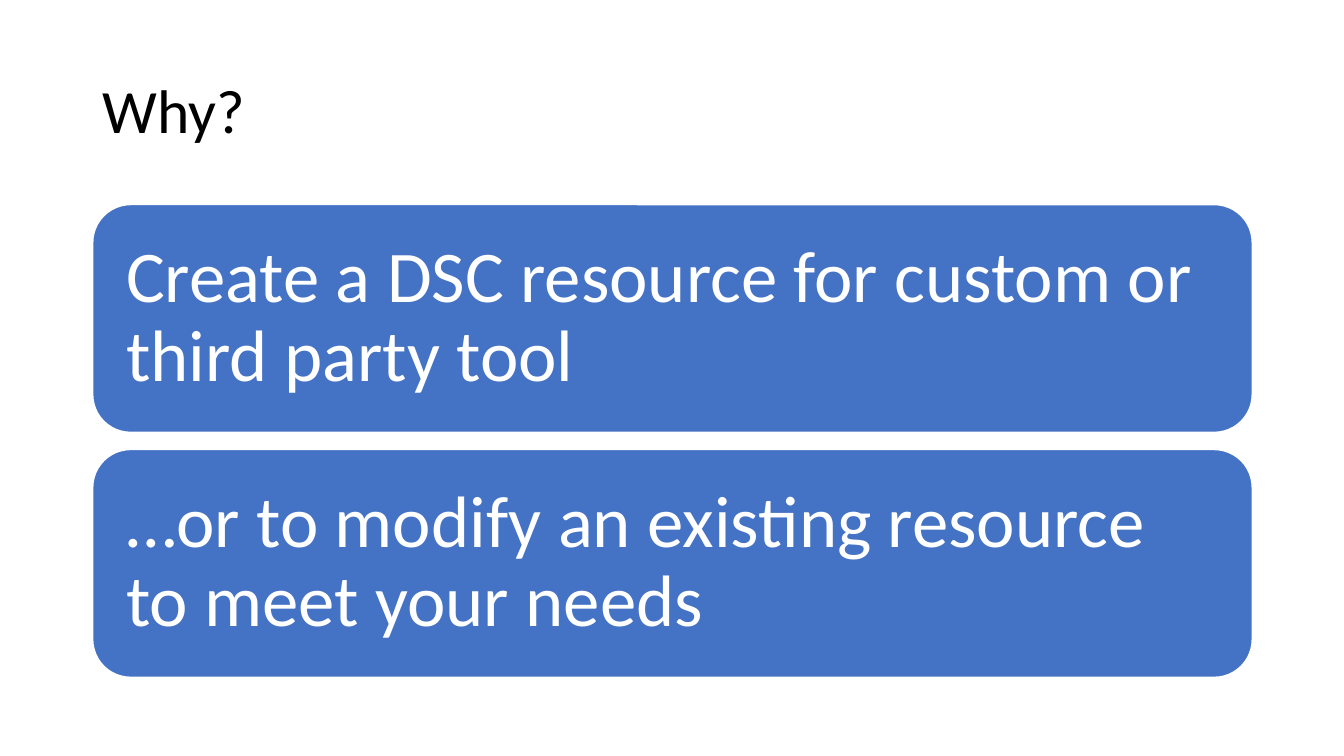
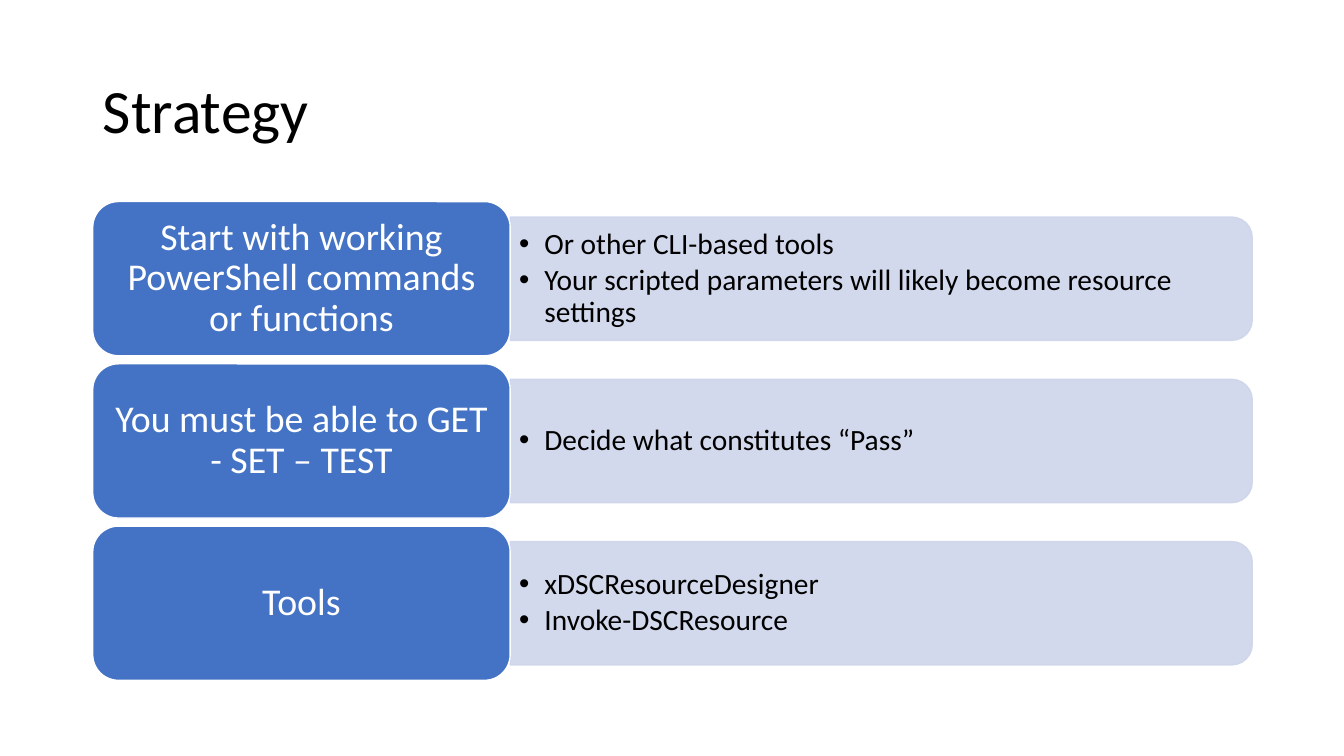
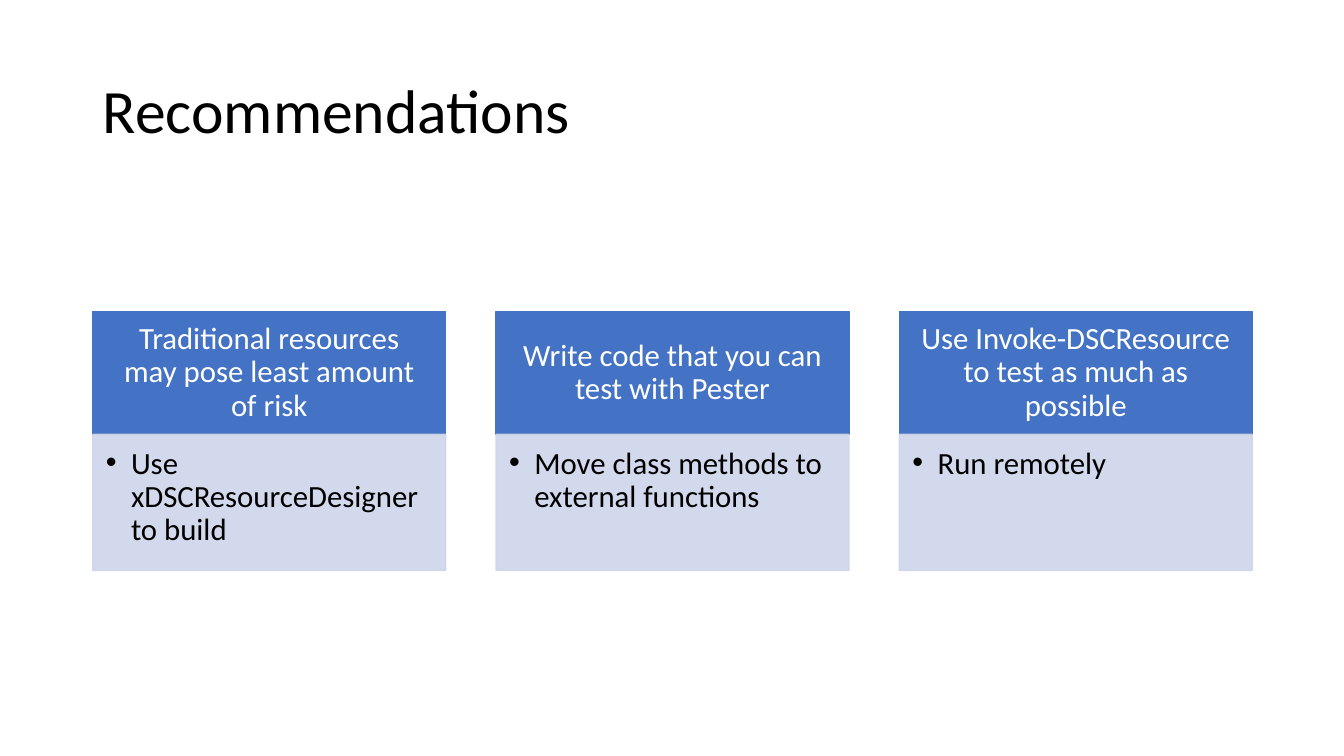
"""Build three slides about planning custom DSC resources."""
from lxml.etree import SubElement
from pptx import Presentation
from pptx.dml.color import RGBColor
from pptx.enum.shapes import MSO_SHAPE
from pptx.enum.text import MSO_ANCHOR, MSO_AUTO_SIZE, PP_ALIGN
from pptx.oxml.ns import qn
from pptx.util import Inches, Pt

REASONS = [
    "Create a DSC resource for custom or third party tool",
    "…or to modify an existing resource to meet your needs",
]
STRATEGY = [
    ("Start with working PowerShell commands or functions",
     ["Or other CLI-based tools",
      "Your scripted parameters will likely become resource settings"]),
    ("You must be able to GET - SET – TEST",
     ["Decide what constitutes “Pass”"]),
    ("Tools", ["xDSCResourceDesigner", "Invoke-DSCResource"]),
]
ADVICE = [
    ("Traditional resources may pose least amount of risk",
     ["Use xDSCResourceDesigner to build"]),
    ("Write code that you can test with Pester",
     ["Move class methods to external functions"]),
    ("Use Invoke-DSCResource to test as much as possible",
     ["Run remotely"]),
]

FONT = "Calibri"
BLUE, PALE, WHITE, BLACK = "4472C4", "CFD5EA", "FFFFFF", "000000"
LEFT, WIDTH = 0.92, 11.5
LABEL_SHARE = 0.36
HANG = 0.25


def color(code):
    """Turn a hex string into a colour."""
    return RGBColor.from_string(code)


def write(shape, lines, size, ink, insets, align=PP_ALIGN.LEFT,
          anchor=MSO_ANCHOR.MIDDLE, bullets=False, after=0.35):
    """Fill a shape with one formatted paragraph per line."""
    frame = shape.text_frame
    frame.word_wrap = True
    frame.auto_size = MSO_AUTO_SIZE.NONE
    frame.vertical_anchor = anchor
    (frame.margin_left, frame.margin_top,
     frame.margin_right, frame.margin_bottom) = map(Inches, insets)
    for index, line in enumerate(lines):
        para = frame.add_paragraph() if index else frame.paragraphs[0]
        para.alignment = align
        para.line_spacing = 0.9
        para.space_before = Pt(0)
        para.space_after = Pt(size * after)
        if bullets:
            props = para._p.get_or_add_pPr()
            props.set("marL", str(Inches(HANG)))
            props.set("indent", str(-Inches(HANG)))
            SubElement(props, qn("a:buFont"), typeface="Arial")
            SubElement(props, qn("a:buChar"), char="•")
        span = para.add_run()
        span.text = line
        span.font.name = FONT
        span.font.size = Pt(size)
        span.font.color.rgb = color(ink)


def add_box(page, kind, area, fill, edge, opacity=None):
    """Add a flat filled shape, see-through when an opacity is given."""
    box = page.shapes.add_shape(kind, *map(Inches, area))
    box.shadow.inherit = False
    box.fill.solid()
    box.fill.fore_color.rgb = color(fill)
    box.line.color.rgb = color(edge)
    box.line.width = Pt(1)
    if opacity:
        for tone in box._element.spPr.iter(qn("a:srgbClr")):
            SubElement(tone, qn("a:alpha"), val=str(opacity * 1000))
    return box


def add_page(deck, layout, title):
    """Add a slide with the shared title style."""
    page = deck.slides.add_slide(layout)
    write(page.shapes.title, [title], 44, BLACK, (0.1, 0.05, 0.1, 0.05), after=0)
    return page


def fill_reasons(page):
    """Stack one wide banner per reason."""
    top, height, gap = 2.03, 2.26, 0.17
    for row, reason in enumerate(REASONS):
        area = (LEFT, top + row * (height + gap), WIDTH, height)
        banner = add_box(page, MSO_SHAPE.ROUNDED_RECTANGLE, area, BLUE, WHITE)
        write(banner, [reason], 52, WHITE, (0.22,) * 4)


def fill_strategy(page):
    """Stack rows of a label followed by a panel of details."""
    top, height, gap = 2, 1.53, 0.08
    label_width = WIDTH * LABEL_SHARE
    panel_left, panel_width = LEFT + label_width, WIDTH - label_width
    panel_height, text_height = height * 0.8, 1.11
    for row, (label, details) in enumerate(STRATEGY):
        row_top = top + row * (height + gap)
        middle = row_top + height / 2
        area = (panel_left + (panel_width - panel_height) / 2,
                middle - panel_width / 2, panel_height, panel_width)
        panel = add_box(page, MSO_SHAPE.ROUND_2_SAME_RECTANGLE, area, PALE, PALE, 90)
        panel.rotation = 90
        area = (panel_left, middle - text_height / 2, panel_width - 0.06, text_height)
        note = page.shapes.add_textbox(*map(Inches, area))
        write(note, details, 21, BLACK, (0.09, 0.04, 0.09, 0.04),
              bullets=True, after=0.15)
        area = (LEFT, row_top, label_width, height)
        tag = add_box(page, MSO_SHAPE.ROUNDED_RECTANGLE, area, BLUE, WHITE)
        write(tag, [label], 27, WHITE, (0.11, 0.06, 0.11, 0.06), PP_ALIGN.CENTER)


def fill_advice(page):
    """Set out columns of a heading above its details."""
    top, head_height, body_height, width = 3.09, 1.22, 1.35, 3.5
    step = (WIDTH - width) / (len(ADVICE) - 1)
    for column, (heading, details) in enumerate(ADVICE):
        left = LEFT + column * step
        head = add_box(page, MSO_SHAPE.RECTANGLE,
                       (left, top, width, head_height), BLUE, BLUE)
        write(head, [heading], 22, WHITE, (0.17, 0.1, 0.17, 0.1), PP_ALIGN.CENTER)
        body = add_box(page, MSO_SHAPE.RECTANGLE,
                       (left, top + head_height, width, body_height), PALE, PALE, 90)
        write(body, details, 22, BLACK, (0.13, 0.13, 0.17, 0.19),
              anchor=MSO_ANCHOR.TOP, bullets=True, after=0.15)


def main():
    """Build and save the deck."""
    deck = Presentation()
    deck.slide_width, deck.slide_height = Inches(13.33), Inches(7.5)
    layout = deck.slide_layouts[5]
    title = layout.placeholders[0]
    title.left, title.top, title.width, title.height = map(
        Inches, (LEFT, 0.4, WIDTH, 1.45))
    for name, fill_page in [("Why?", fill_reasons), ("Strategy", fill_strategy),
                            ("Recommendations", fill_advice)]:
        fill_page(add_page(deck, layout, name))
    deck.save("out.pptx")


if __name__ == "__main__":
    main()
